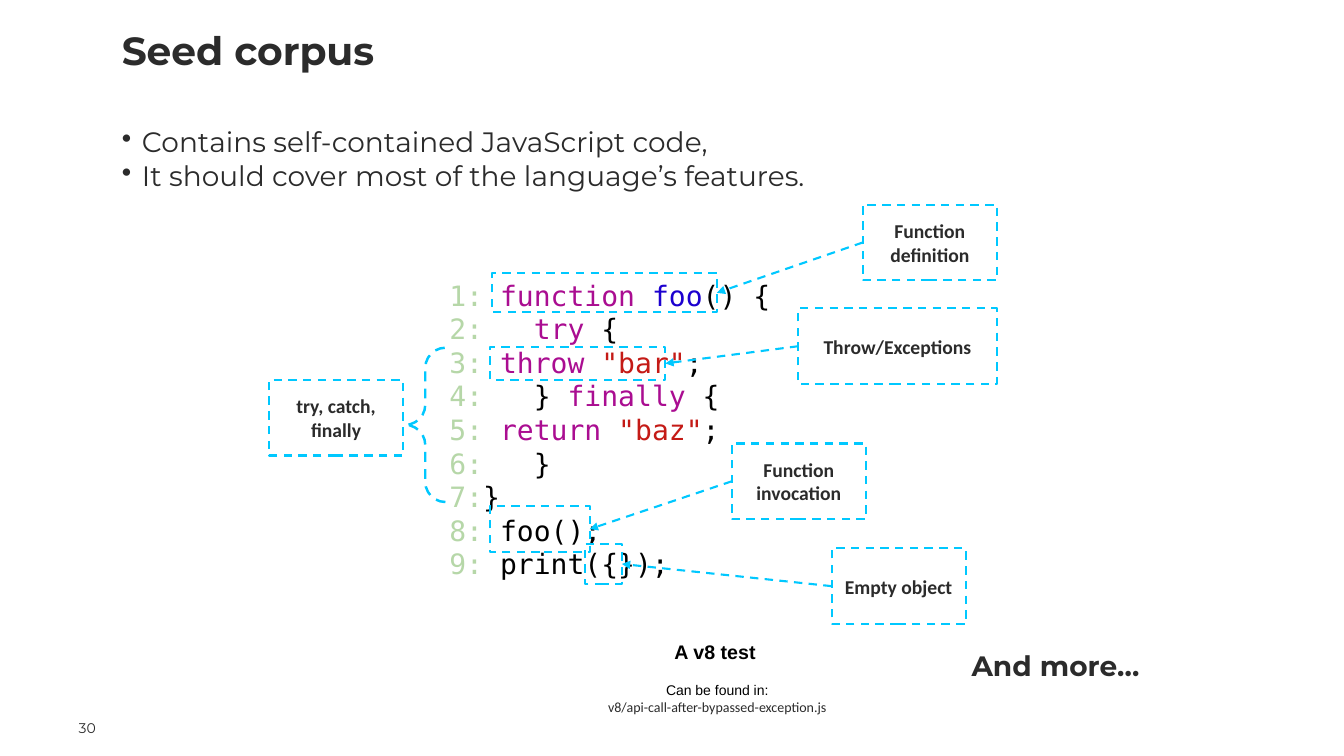
import pptx
import pptx.util
import pptx.dml.color
import pptx.enum.dml
import pptx.enum.shapes
import pptx.enum.text
import lxml.etree
import pptx.oxml.ns

Pt = pptx.util.Pt
RGBColor = pptx.dml.color.RGBColor
Align = pptx.enum.text.PP_ALIGN
Anchor = pptx.enum.text.MSO_ANCHOR
Shape = pptx.enum.shapes.MSO_SHAPE

DARK = RGBColor(0x2B, 0x2B, 0x2B)
BLACK = RGBColor(0, 0, 0)
CYAN = RGBColor(0x00, 0xC8, 0xFF)
GREEN = RGBColor(0xB6, 0xD7, 0xA8)
PURPLE = RGBColor(0xAA, 0x0D, 0x91)
BLUE = RGBColor(0x1C, 0x00, 0xCF)
RED = RGBColor(0xC4, 0x1A, 0x16)

# Label, label box, box of the marked code
NOTES = [
    ("Function definition", (616.3, 146.2, 95.8, 54), (351.4, 195.1, 160.6, 28.1)),
    ("Throw/Exceptions", (570.2, 220.3, 141.8, 54), (349.9, 247.7, 125.3, 23.8)),
    ("Function invocation", (522.7, 316.8, 95.8, 54), (349.9, 361.4, 71.3, 33.1)),
    ("Empty object", (594, 391.7, 95.8, 54), (417.6, 388.8, 26.6, 28.1)),
]

CODE = [
    [("1: ", GREEN), ("function ", PURPLE), ("foo", BLUE), ("() {", BLACK)],
    [("2: ", GREEN), ("  ", BLACK), ("try", PURPLE), (" {", BLACK)],
    [("3: ", GREEN), ("throw ", PURPLE), ('"bar"', RED), (";", BLACK)],
    [("4: ", GREEN), ("  } ", BLACK), ("finally", PURPLE), (" {", BLACK)],
    [("5: ", GREEN), ("return ", PURPLE), ('"baz"', RED), (";", BLACK)],
    [("6: ", GREEN), ("  }", BLACK)],
    [("7:", GREEN), ("}", BLACK)],
    [("8: ", GREEN), ("foo();", BLACK)],
    [("9: ", GREEN), ("print({});", BLACK)],
]


def style(para, size, face="Montserrat", color=DARK, bold=False, align=Align.LEFT):
    font = para.font
    font.size, font.name, font.bold = Pt(size), face, bold
    font.color.rgb = color
    para.alignment = align


def set_frame(frame, anchor, insets, wrap=True):
    frame.word_wrap = wrap
    frame.vertical_anchor = anchor
    (frame.margin_left, frame.margin_top,
     frame.margin_right, frame.margin_bottom) = map(Pt, insets)


def add_text(slide, box, text="", anchor=Anchor.TOP,
             insets=(7.2, 3.6, 7.2, 3.6), wrap=True):
    frame = slide.shapes.add_textbox(*map(Pt, box)).text_frame
    set_frame(frame, anchor, insets, wrap)
    frame.text = text
    return frame.paragraphs


def add_bullet(para):
    props = para._p.get_or_add_pPr()
    props.set("marL", str(Pt(14.4)))
    props.set("indent", str(Pt(-14.4)))
    mark = lxml.etree.SubElement(props, pptx.oxml.ns.qn("a:buChar"))
    mark.set("char", "•")


def dash(line, width=1.5):
    line.color.rgb = CYAN
    line.width = Pt(width)
    line.dash_style = pptx.enum.dml.MSO_LINE.DASH


def add_frame(slide, box, kind=Shape.RECTANGLE, width=1.5):
    """Add an unfilled shape with a dashed outline."""
    shape = slide.shapes.add_shape(kind, *map(Pt, box))
    shape.shadow.inherit = False
    shape.fill.background()
    dash(shape.line, width)
    return shape


def add_label(slide, text, box):
    shape = add_frame(slide, box)
    set_frame(shape.text_frame, Anchor.MIDDLE, [7.2] * 4)
    shape.text_frame.text = text
    style(shape.text_frame.paragraphs[0], 14, "Calibri", bold=True, align=Align.CENTER)
    return shape


def add_arrow(slide, label, mark):
    """Point from the label's left side to the mark's right side."""
    arrow = slide.shapes.add_connector(
        pptx.enum.shapes.MSO_CONNECTOR.STRAIGHT, 0, 0, 0, 0)
    arrow.begin_connect(label, 1)
    arrow.end_connect(mark, 3)
    dash(arrow.line)
    qn = pptx.oxml.ns.qn
    tail = lxml.etree.SubElement(arrow.line._get_or_add_ln(), qn("a:tailEnd"))
    tail.set("type", "triangle")
    lxml.etree.SubElement(arrow._element.spPr, qn("a:effectLst"))


def add_code(slide, box):
    para = add_text(slide, box)[0]
    for index, line in enumerate(CODE):
        if index:
            para.add_line_break()
        for text, color in line:
            run = para.add_run()
            run.text = text
            run.font.color.rgb = color
    style(para, 20, "DejaVu Sans Mono", BLACK)
    para.line_spacing = Pt(24)


def main():
    deck = pptx.Presentation()
    deck.slide_width, deck.slide_height = Pt(960), Pt(540)
    slide = deck.slides.add_slide(deck.slide_layouts[6])

    title = add_text(slide, (79.9, 14.4, 799.2, 42.5), "Seed corpus",
                     Anchor.MIDDLE, (7.2, 0, 7.2, 0))
    style(title[0], 28, bold=True)
    number = add_text(slide, (25.2, 505.4, 43.2, 20.2), "30", Anchor.BOTTOM, [0] * 4)
    style(number[0], 10, align=Align.RIGHT)

    points = add_text(slide, (79.9, 85.7, 799.2, 368.6),
                      "Contains self-contained JavaScript code,\n"
                      "It should cover most of the language’s features.")
    for para in points:
        add_bullet(para)
        style(para, 20)

    test = add_text(slide, (335.5, 444.2, 350.6, 43.2), "A v8 test",
                    Anchor.MIDDLE, [7.2] * 4)
    style(test[0], 14, "Arial", BLACK, True, Align.CENTER)
    add_code(slide, (313.9, 195.1, 568.8, 225.4))
    found, source = add_text(slide, (337, 483.1, 350.6, 43.2),
                             "Can be found in:\nv8/api-call-after-bypassed-exception.js")
    style(found, 10, "Arial", BLACK, align=Align.CENTER)
    style(source, 10, "Calibri", align=Align.CENTER)

    add_frame(slide, (289.4, 248.4, 28.8, 110.2), Shape.LEFT_BRACE, 1.75).adjustments[0] = 0.5
    add_label(slide, "try, catch, finally", (192.2, 271.4, 95.8, 54))
    for text, box, target in NOTES:
        mark = add_frame(slide, target)
        add_arrow(slide, add_label(slide, text, box), mark)

    more = add_text(slide, (686.9, 459.4, 141.8, 31.7), "And more…", wrap=False)
    style(more[0], 20, bold=True)
    deck.save("out.pptx")


if __name__ == "__main__":
    main()
